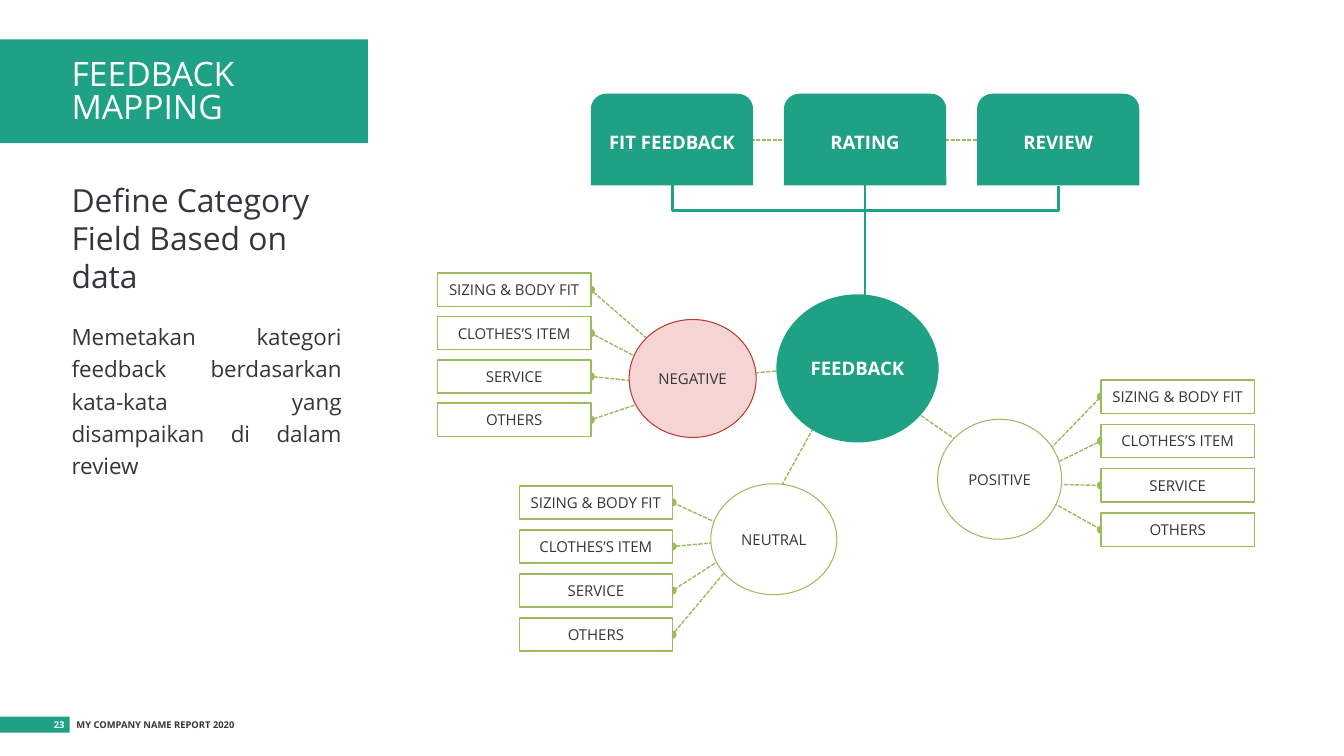
import pptx
import pptx.util
import pptx.dml.color
import pptx.enum.dml
import pptx.enum.shapes
import pptx.enum.text
import pptx.oxml
import pptx.oxml.ns

SHAPE = pptx.enum.shapes.MSO_SHAPE
LINE = pptx.enum.shapes.MSO_CONNECTOR
ALIGN = pptx.enum.text.PP_ALIGN
ANCHOR = pptx.enum.text.MSO_ANCHOR
Pt = pptx.util.Pt
qn = pptx.oxml.ns.qn
XMLNS = pptx.oxml.ns.nsdecls("a")
COLORS = {name: pptx.dml.color.RGBColor.from_string(value) for name, value in {
    "teal": "1EA185", "green": "9BBB5C", "red": "BD392F", "pink": "F4D5D3",
    "white": "FFFFFF", "dark": "31373B"}.items()}

prs = pptx.Presentation()
prs.slide_width = pptx.util.Inches(13.33)
prs.slide_height = pptx.util.Inches(7.5)
s = prs.slides.add_slide(prs.slide_layouts[1])
CELL = prs.slide_height / 75  # square grid, 75 rows high


def block(kind, grid, fill, line=None, width=1, text="", size=10.7, color="dark", bold=False):
    sp = s.shapes.add_shape(kind, *[round(v * CELL) for v in grid])
    sp.shadow.inherit = False
    sp.fill.solid()
    sp.fill.fore_color.rgb = COLORS[fill]
    if line:
        sp.line.color.rgb = COLORS[line]
        sp.line.width = Pt(width)
    else:
        sp.line.fill.background()
    tf = sp.text_frame
    tf.vertical_anchor = ANCHOR.MIDDLE
    for side in ("left", "right", "top", "bottom"):
        setattr(tf, "margin_" + side, 0)
    if text:
        p = tf.paragraphs[0]
        p.alignment = ALIGN.CENTER
        r = p.add_run()
        r.text = text
        for key, value in {"name": "Open Sans", "size": Pt(size), "bold": bold}.items():
            setattr(r.font, key, value)
        r.font.color.rgb = COLORS[color]
    return sp


def link(start, end, color="green", width=1, dashed=True, oval=False, kind=LINE.STRAIGHT):
    c = s.shapes.add_connector(kind, *[round(v * CELL) for v in (*start, *end)])
    c.line.color.rgb = COLORS[color]
    c.line.width = Pt(width)
    if dashed:
        c.line.dash_style = pptx.enum.dml.MSO_LINE.SQUARE_DOT
    spPr = c.element.spPr
    if oval:
        spPr.find(qn("a:ln")).append(pptx.oxml.parse_xml(f'<a:tailEnd {XMLNS} type="oval"/>'))
    spPr.append(pptx.oxml.parse_xml(f"<a:effectLst {XMLNS}/>"))
    return c


# Title band, behind the title
title, body = s.shapes.title, s.placeholders[1]
band = block(SHAPE.RECTANGLE, (0, 3.9, 36.5, 10.3), "teal")
title.element.addprevious(band.element)

# Title and body text: text, size, colour, alignment, line spacing, space before
panels = [
    (title, (6.1, 3.2, 28.5, 12.1), ANCHOR.MIDDLE,
     [("FEEDBACK MAPPING", 24, "white", ALIGN.LEFT, 0.8, 0)]),
    (body, (6.1, 17.4, 28.8, 52.3), ANCHOR.TOP,
     [("Define Category Field Based on data", 22.7, "dark", ALIGN.LEFT, 1, 0),
      ("Memetakan kategori feedback berdasarkan kata-kata yang disampaikan di dalam review",
       16, "dark", ALIGN.JUSTIFY, 1.2, 16.5)]),
]
for sp, grid, anchor, paragraphs in panels:
    sp.left, sp.top, sp.width, sp.height = [round(v * CELL) for v in grid]
    tf = sp.text_frame
    tf.auto_size = pptx.enum.text.MSO_AUTO_SIZE.NONE
    tf.word_wrap = True
    tf.vertical_anchor = anchor
    for i, (text, size, color, align, spacing, before) in enumerate(paragraphs):
        p = tf.add_paragraph() if i else tf.paragraphs[0]
        pPr = p._p.get_or_add_pPr()
        pPr.set("marL", "0")
        pPr.set("indent", "0")
        p.alignment, p.line_spacing, p.space_before = align, spacing, Pt(before)
        pPr.append(pptx.oxml.parse_xml(f"<a:buNone {XMLNS}/>"))
        r = p.add_run()
        r.text = text
        r.font.name, r.font.size = "Open Sans", Pt(size)
        r.font.color.rgb = COLORS[color]

# Footer
block(SHAPE.RECTANGLE, (0, 71.1, 6.9, 1.6), "teal")
for text, left, width, color, align in [
        ("MY COMPANY NAME REPORT 2020", 6.6, 17.8, "dark", ALIGN.LEFT),
        ("23", 4.1, 3.3, "white", ALIGN.RIGHT)]:
    sp = s.shapes.add_textbox(*[round(v * CELL) for v in (left, 71.1, width, 1.8)])
    tf = sp.text_frame
    tf.word_wrap = False
    tf.vertical_anchor = ANCHOR.MIDDLE
    p = tf.paragraphs[0]
    p.alignment, p.line_spacing = align, 0.7
    r = p.add_run()
    r.text = text
    for key, value in {"name": "Open Sans", "size": Pt(6.7), "bold": True}.items():
        setattr(r.font, key, value)
    r.font.color.rgb = COLORS[color]

# Sentiments: circle, fill, outline, hub, link starts, boxes left and top, box pitch
categories = ["SIZING & BODY FIT", "CLOTHES’S ITEM", "SERVICE", "OTHERS"]
box_w, box_h = 15.2, 3.3
center = (84.1, 36.2)
sentiments = [
    ("POSITIVE", (93, 41.6, 12.3, 11.9), "white", "green", (101.1, 48),
     [(101.1, 47.7)] * 2 + [(101.1, 48)] * 2, 109.2, 37.7, 4.4),
    ("NEUTRAL", (70.5, 48, 12.5, 11), "white", "green", (74.6, 53.5),
     [(74.6, 53.5)] * 4, 51.5, 48.2, 4.37),
    ("NEGATIVE", (62.4, 31.7, 12.6, 11.7), "pink", "red", (66.7, 37.7),
     [(67.5, 36.5), (68.6, 38.3), (68.6, 38.4), (69.2, 38.1)], 43.4, 27.1, 4.3),
]

# Dashed links lie under the circles and boxes
for name, circle, fill, outline, hub, starts, left, top, pitch in sentiments:
    edge = left if left > hub[0] else left + box_w
    for row, start in enumerate(starts):
        link(start, (edge, top + row * pitch + box_h / 2), oval=True)
    link(center, hub)

# Circles and category boxes
block(SHAPE.OVAL, (77, 29.2, 16.1, 14.7), "teal", text="FEEDBACK", size=13.3, color="white", bold=True)
for name, circle, fill, outline, hub, starts, left, top, pitch in sentiments:
    block(SHAPE.OVAL, circle, fill, outline, 0.75, name)
    for row, category in enumerate(categories):
        block(SHAPE.RECTANGLE, (left, top + row * pitch, box_w, box_h), "white", "green", 1, category)

# Feedback sources
link((96.9, 13.9), (74.7, 13.9))
for col, source in enumerate(["FIT FEEDBACK", "RATING", "REVIEW"]):
    block(SHAPE.ROUND_2_SAME_RECTANGLE, (58.6 + col * 19.15, 9.3, 16.1, 9.1), "teal",
          text=source, size=13.3, color="white", bold=True)

# Bracket under the sources, turned a quarter, and the stem to the centre
bracket = link((85.9, -0.7), (85.8, 37.6), "teal", 2, False, kind=LINE.ELBOW)
bracket.element.spPr.find(qn("a:xfrm")).set("rot", "16200000")
guides = bracket.element.spPr.find(qn("a:prstGeom")).find(qn("a:avLst"))
guides.append(pptx.oxml.parse_xml(f'<a:gd {XMLNS} name="adj1" fmla="val 2500000"/>'))
link((85.8, 18.4), (85.8, 31.3), "teal", 2, False)

prs.save("out.pptx")
